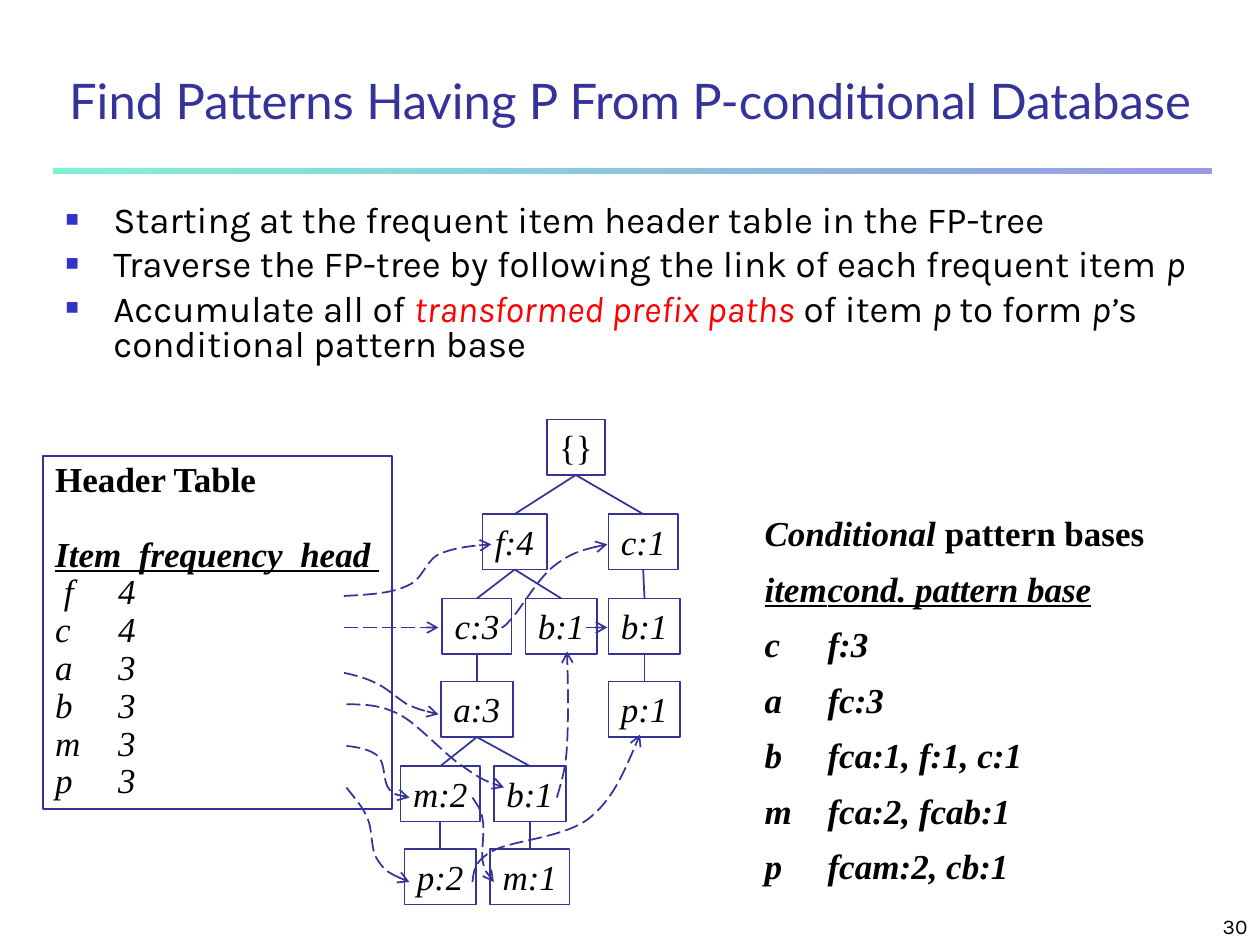
from lxml.etree import SubElement as Sub
from pptx import Presentation
from pptx.dml.color import RGBColor
from pptx.enum.dml import MSO_LINE as Dash
from pptx.enum.shapes import MSO_CONNECTOR as Link, MSO_SHAPE as Form
from pptx.enum.text import MSO_ANCHOR as Anchor, MSO_AUTO_SIZE as Fit, PP_ALIGN as Align
from pptx.oxml.ns import qn
from pptx.util import Inches, Pt

NAVY, BLACK, RED = "333399", "000000", "FF0000"
SERIF, SANS = "Times New Roman", "Karla"
ITAL = {"italic": True}
BOLD = {"bold": True}
BOTH = {"bold": True, "italic": True}
LINED = {**BOTH, "underline": True}


def color(code):
    return RGBColor.from_string(code)


def apply(item, form):
    for key, value in form.items():
        setattr(item, key, value)


class Page:
    def __init__(self, deck):
        self.slide = deck.slides.add_slide(deck.slide_layouts[1])
        self.shapes = self.slide.shapes
        self.width = Pt(1)

    def place(self, shape, box):
        names = ("left", "top", "width", "height")
        apply(shape, dict(zip(names, map(Inches, box))))

    def letter(self, shape, paras, font, size, tint=BLACK, wrap=True,
               anchor=Anchor.TOP, **form):
        frame = shape.text_frame
        apply(frame, {"word_wrap": wrap, "auto_size": Fit.NONE,
                      "vertical_anchor": anchor})
        for i, runs in enumerate(paras):
            para = frame.add_paragraph() if i else frame.paragraphs[0]
            apply(para, {"alignment": Align.LEFT, **form})
            for text, look in runs:
                run = para.add_run()
                run.text = text
                look = dict(look)
                run.font.color.rgb = color(look.pop("tint", tint))
                apply(run.font, {"name": font, "size": Pt(size), **look})
        return frame.paragraphs

    def title(self, text, box):
        shape = self.shapes.title
        self.place(shape, box)
        self.letter(shape, [[(text, {})]], "Lato", 28, NAVY,
                    anchor=Anchor.BOTTOM, alignment=Align.CENTER, line_spacing=0.9)

    def list(self, paras, box):
        shape = self.slide.placeholders[1]
        self.place(shape, box)
        for para in self.letter(shape, paras, SANS, 21,
                                line_spacing=0.8, space_before=Pt(5.2)):
            props = para._p.get_or_add_pPr()
            props.set("marL", str(Inches(0.38)))
            props.set("indent", str(-Inches(0.38)))
            tint = Sub(props, qn("a:buClr"))
            Sub(tint, qn("a:srgbClr"), val="3333CC")
            Sub(props, qn("a:buSzPct"), val="60000")
            Sub(props, qn("a:buChar"), char="■")

    def text(self, paras, box, font, size, **form):
        shape = self.shapes.add_textbox(*map(Inches, box))
        return self.letter(shape, paras, font, size, **form)

    def bar(self, box, *tints):
        shape = self.shapes.add_shape(Form.RECTANGLE, *map(Inches, box))
        shape.shadow.inherit = False
        shape.line.fill.background()
        shape.fill.gradient()
        shape.fill.gradient_angle = 0
        for stop, tint in zip(shape.fill.gradient_stops, tints):
            stop.color.rgb = color(tint)

    def stroke(self, line):
        line.color.rgb = color(NAVY)
        line.width = self.width

    def box(self, paras, box, **form):
        shape = self.shapes.add_shape(Form.RECTANGLE, *map(Inches, box))
        shape.shadow.inherit = False
        shape.fill.background()
        self.stroke(shape.line)
        return self.letter(shape, paras, SERIF, 20, wrap=False, **form)

    def head(self, shape):
        shape.line.dash_style = Dash.LONG_DASH
        Sub(shape.line._get_or_add_ln(), qn("a:tailEnd"), type="arrow")

    def line(self, start, end, arrow=False):
        shape = self.shapes.add_connector(Link.STRAIGHT, *map(Inches, start + end))
        self.stroke(shape.line)
        if arrow:
            self.head(shape)
        Sub(shape._element.spPr, qn("a:effectLst"))

    def curve(self, *points):
        spots = [(Inches(x), Inches(y)) for x, y in points]
        maker = self.shapes.build_freeform(*spots[0], scale=1.0)
        maker.add_line_segments(spots[1:], close=False)
        shape = maker.convert_to_shape()
        shape.shadow.inherit = False
        shape.fill.background()
        self.stroke(shape.line)
        self.head(shape)
        trace = next(shape._element.iter(qn("a:path")))
        steps = trace.findall(qn("a:lnTo"))
        for i in range(0, len(steps), 3):
            bend = Sub(trace, qn("a:cubicBezTo"))
            for step in steps[i:i + 3]:
                bend.append(step[0])
                trace.remove(step)


deck = Presentation()
deck.slide_width, deck.slide_height = Inches(10), Inches(7.5)
page = Page(deck)

page.bar((0.42, 1.33, 9.2, 0.05), "80F2D4", "9999E6")
page.text([[("30", {})]], (7.92, 7.08, 2.08, 0.42), SANS, 12,
          anchor=Anchor.BOTTOM, alignment=Align.RIGHT)
page.title("Find Patterns Having P From P-conditional Database", (0, 0.33, 10, 0.75))
page.list([
    [("Starting at the frequent item header table in the FP-tree", {})],
    [("Traverse the FP-tree by following the link of each frequent item ", {}),
     ("p", ITAL)],
    [("Accumulate all of ", {}),
     ("transformed prefix paths", {**ITAL, "tint": RED}),
     (" of item ", {}), ("p ", ITAL), ("to form ", {}), ("p’", ITAL),
     ("s conditional pattern base", {})],
], (0.42, 1.58, 9.17, 1.67))

bases = {"c": "f:3", "a": "fc:3", "b": "fca:1, f:1, c:1",
         "m": "fca:2, fcab:1", "p": "fcam:2, cb:1"}
paras = page.text(
    [[("Conditional ", BOTH), ("pattern bases", BOLD)],
     [("item\tcond. pattern base", LINED)]]
    + [[(f"{item}\t{base}", BOTH)] for item, base in bases.items()],
    (5.97, 4.01, 3.64, 3.08), SERIF, 20, line_spacing=0.8, space_before=Pt(12.5))
paras[0].line_spacing = 1.0

rows = [(" f", 4), ("c", 4), ("a", 3), ("b", 3), ("m", 3), ("p", 3)]
paras = page.box(
    [[("Header Table", BOLD)], [("Item  frequency  head ", LINED)]]
    + [[(f"{item}\t{count}", ITAL)] for item, count in rows],
    (0.34, 3.62, 2.77, 2.8), line_spacing=0.9)
paras[1].space_before = Pt(21)

TOPS = (3.33, 4.08, 4.75, 5.41, 6.08, 6.74)
HIGH = 0.44
nodes = {
    "root": ("{}", 4.34, 0, 0.46), "f": ("f:4", 3.83, 1, 0.51),
    "c1": ("c:1", 4.83, 1, 0.55), "c3": ("c:3", 3.51, 2, 0.55),
    "bf": ("b:1", 4.17, 2, 0.57), "bc": ("b:1", 4.83, 2, 0.57),
    "a": ("a:3", 3.5, 3, 0.57), "p1": ("p:1", 4.83, 3, 0.57),
    "m2": ("m:2", 3.18, 4, 0.63), "ba": ("b:1", 3.92, 4, 0.57),
    "p2": ("p:2", 3.21, 5, 0.57), "m1": ("m:1", 3.89, 5, 0.63),
}
for key, (text, left, row, wide) in nodes.items():
    page.box([[(text, {} if key == "root" else ITAL)]],
             (left, TOPS[row], wide, HIGH))

edges = ("root f", "root c1", "f c3", "f bf", "c1 bc", "bc p1", "c3 a",
         "a m2", "a ba", "m2 p2", "ba m1")
for edge in edges:
    (_, x1, r1, w1), (_, x2, r2, w2) = (nodes[key] for key in edge.split())
    page.line((x1 + w1 / 2, TOPS[r1] + HIGH), (x2 + w2 / 2, TOPS[r2]))

page.line((2.73, 4.98), (3.48, 4.98), arrow=True)
page.line((4.65, 4.98), (4.82, 4.98), arrow=True)
curves = [
    [(2.73, 4.73), (2.92, 4.72), (3.11, 4.71), (3.23, 4.65), (3.36, 4.6),
     (3.37, 4.46), (3.48, 4.4), (3.6, 4.35), (3.75, 4.33), (3.9, 4.32)],
    [(3.98, 4.98), (3.99, 4.98), (4, 4.98), (4.07, 4.9), (4.14, 4.82),
     (4.28, 4.58), (4.4, 4.49), (4.53, 4.39), (4.67, 4.35), (4.82, 4.32)],
    [(2.73, 5.34), (2.82, 5.36), (2.9, 5.38), (2.98, 5.42), (3.07, 5.46),
     (3.15, 5.54), (3.23, 5.59), (3.32, 5.63), (3.4, 5.65), (3.48, 5.67)],
    [(2.75, 5.59), (2.88, 5.59), (3.01, 5.59), (3.17, 5.67), (3.32, 5.75),
     (3.53, 5.99), (3.67, 6.08), (3.81, 6.18), (3.9, 6.22), (4, 6.25)],
    [(4.42, 6.33), (4.45, 6.22), (4.49, 6.11), (4.5, 5.92),
     (4.51, 5.72), (4.51, 5.45), (4.5, 5.17)],
    [(2.75, 5.92), (2.85, 5.93), (2.94, 5.95), (3, 6), (3.06, 6.06),
     (3.04, 6.19), (3.08, 6.25), (3.12, 6.31), (3.19, 6.32), (3.25, 6.33)],
    [(3.75, 6.33), (3.78, 6.38), (3.82, 6.42), (3.83, 6.5), (3.85, 6.58),
     (3.82, 6.75), (3.83, 6.83), (3.85, 6.92), (3.88, 6.96), (3.92, 7)],
    [(2.75, 6.25), (2.81, 6.33), (2.88, 6.4), (2.92, 6.5), (2.96, 6.6),
     (2.94, 6.75), (3, 6.83), (3.06, 6.92), (3.15, 6.96), (3.25, 7)],
    [(3.75, 7), (3.76, 6.92), (3.76, 6.83), (3.92, 6.75), (4.07, 6.67),
     (4.47, 6.65), (4.67, 6.5), (4.86, 6.35), (4.97, 6.09), (5.08, 5.83)],
]
for points in curves:
    page.curve(*points)

deck.save("out.pptx")
